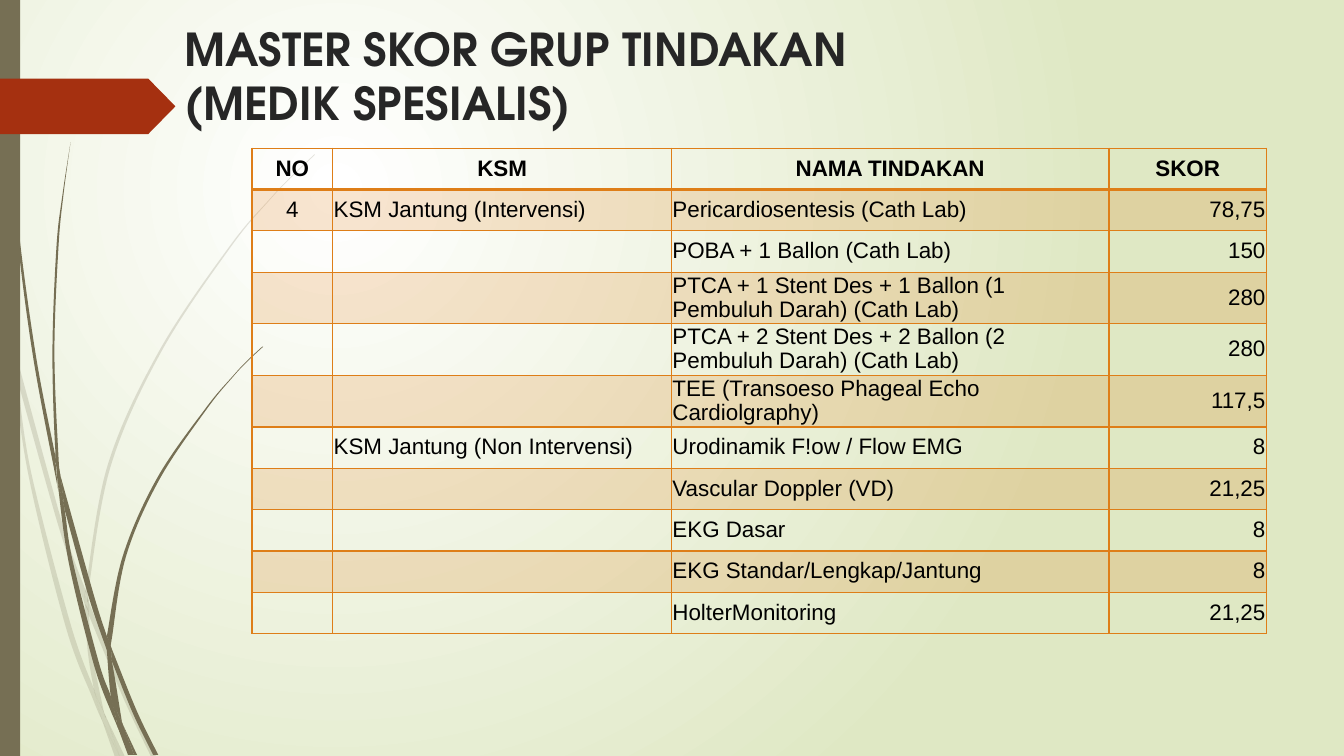
from lxml.etree import SubElement
from pptx import Presentation
from pptx.dml.color import RGBColor
from pptx.enum.shapes import MSO_SHAPE
from pptx.enum.text import MSO_ANCHOR, PP_ALIGN
from pptx.oxml import parse_xml
from pptx.oxml.ns import nsdecls, qn
from pptx.util import Inches, Pt

WIDTH, HEIGHT = 13.33, 7.5
COLORS = {
    "white": "FFFFFF", "meadow": "DFE8C4", "olive": "766F54", "rust": "A53010",
    "orange": "DE7E18", "title": "262626", "text": "000000",
}
TITLE = "MASTER SKOR GRUP TINDAKAN\v(MEDIK SPESIALIS)"
TITLE_FONT = {"name": "TeX Gyre Adventor", "size": Pt(32.4), "bold": True}
COLUMNS = [0.8, 3.36, 4.34, 1.56]
ROW_HEIGHT = 0.41
ALIGNMENTS = [PP_ALIGN.CENTER, PP_ALIGN.LEFT, PP_ALIGN.LEFT, PP_ALIGN.RIGHT]
ROWS = [
    ("NO", "KSM", "NAMA TINDAKAN", "SKOR"),
    ("4", "KSM Jantung (Intervensi)", "Pericardiosentesis (Cath Lab)", "78,75"),
    ("", "", "POBA + 1 Ballon (Cath Lab)", "150"),
    ("", "", "PTCA + 1 Stent Des + 1 Ballon (1 Pembuluh Darah) (Cath Lab)", "280"),
    ("", "", "PTCA + 2 Stent Des + 2 Ballon (2 Pembuluh Darah) (Cath Lab)", "280"),
    ("", "", "TEE (Transoeso Phageal Echo Cardiolgraphy)", "117,5"),
    ("", "KSM Jantung (Non Intervensi)", "Urodinamik F!ow / Flow EMG", "8"),
    ("", "", "Vascular Doppler (VD)", "21,25"),
    ("", "", "EKG Dasar", "8"),
    ("", "", "EKG Standar/Lengkap/Jantung", "8"),
    ("", "", "HolterMonitoring", "21,25"),
]
GRASS_UNIT = 0.01
PALE_GRASS = [
    ([(11, 350), (9, 322), (0, 282)], [(0, 299), (10, 344), (11, 350)]),
    ([(14, 345), (62, 520), (85, 586)], [(84, 599), (58, 522), (17, 376)]),
    ([(88, 596), (92, 607), (127, 692), (155, 751)], [(150, 751), (123, 694), (88, 610)]),
    ([(105, 711), (124, 751)], [(119, 751), (105, 711)]),
    ([(11, 350), (17, 376), (31, 469), (70, 619), (93, 683)],
     [(99, 707), (101, 714), (92, 693), (65, 621), (28, 470), (11, 350)]),
    ([(84, 599), (88, 608), (91, 646), (103, 706), (105, 711)],
     [(96, 692), (93, 683), (87, 646), (84, 599)]),
    ([(85, 586), (85, 584), (107, 461), (158, 348), (228, 244), (268, 197), (289, 175), (312, 153)],
     [(312, 154), (290, 175), (268, 198), (229, 245), (160, 349), (110, 462), (88, 584), (88, 596)]),
    ([(101, 714), (119, 751)], [(114, 751), (101, 714)]),
    ([(85, 586), (88, 596), (88, 610)], [(88, 608), (84, 599)]),
    ([(93, 683), (96, 692), (105, 711), (119, 751)], [(101, 714), (99, 707), (93, 683)]),
]
DARK_GRASS = [
    ([(3, 0), (4, 48), (7, 110), (17, 233), (33, 355), (56, 477), (57, 481)],
     [(55, 457), (55, 453), (36, 355), (19, 232), (8, 109), (5, 48), (4, 0)]),
    ([(60, 472), (93, 590), (106, 631)], [(106, 645), (88, 592), (64, 505)]),
    ([(110, 641), (113, 649), (136, 706), (157, 749)], [(152, 749), (132, 708), (111, 656)]),
    ([(57, 477), (64, 505), (72, 556), (98, 657), (110, 691), (116, 717), (117, 722)],
     [(111, 708), (93, 659), (68, 557), (57, 477)]),
    ([(60, 472), (55, 449), (52, 349), (56, 245), (62, 193), (70, 141)],
     [(70, 141), (63, 193), (58, 245), (54, 349), (58, 453), (60, 472)]),
    ([(122, 719), (136, 749)], [(133, 749), (122, 719)]),
    ([(55, 449), (60, 472), (64, 505)], [(57, 477), (55, 453)]),
    ([(106, 631), (122, 551), (156, 474), (204, 405), (231, 373), (245, 358), (260, 344)],
     [(261, 344), (245, 359), (231, 374), (205, 406), (158, 476), (125, 552), (111, 633), (110, 641)]),
    ([(117, 722), (131, 749)], [(127, 749), (117, 722)]),
    ([(106, 645), (111, 656), (121, 716), (122, 719)], [(116, 706), (110, 691), (106, 645)]),
    ([(106, 631), (110, 641), (111, 656)], [(109, 651), (106, 645)]),
    ([(110, 691), (116, 706), (122, 719), (133, 749)], [(130, 749), (117, 722), (116, 717)]),
]


def apply(target, values):
    """Set each attribute named in values on the target."""
    for name, value in values.items():
        setattr(target, name, value)


def paint(fill, color, opacity=100):
    """Fill with a named colour at an opacity in percent."""
    fill.solid()
    fill.fore_color.rgb = RGBColor.from_string(COLORS[color])
    if opacity < 100:
        tint = fill._xPr.find(qn("a:solidFill"))[0]
        SubElement(tint, qn("a:alpha"), val=str(opacity * 1000))


def finish(shape, color, opacity=100):
    """Give a shape a plain fill with no line or shadow."""
    shape.shadow.inherit = False
    shape.line.fill.background()
    paint(shape.fill, color, opacity)


def bend(shape, edge_count):
    """Turn the straight sides of a blade into smooth curves."""
    knots = [(int(point.get("x")), int(point.get("y")))
             for point in shape._element.iter(qn("a:pt"))]
    lines = list(shape._element.iter(qn("a:lnTo")))
    for first, last in ((0, edge_count - 1), (edge_count, len(knots) - 1)):
        for index in range(first, last):
            before, after = max(index - 1, first), min(index + 2, last)
            a, b, c, d = (knots[i] for i in (before, index, index + 1, after))
            leave = [q + (r - p) / 6 for p, q, r in zip(a, b, c)]
            arrive = [r - (s - q) / 6 for q, r, s in zip(b, c, d)]
            line = lines[index]
            line.tag = qn("a:cubicBezTo")
            for place, (x, y) in enumerate((leave, arrive)):
                point = parse_xml(f'<a:pt {nsdecls("a")} x="{round(x)}" y="{round(y)}"/>')
                line.insert(place, point)


def add_background(page):
    """Paint a round glow centred in the upper left quarter."""
    fill = page.background.fill
    fill.gradient()
    for stop, color in zip(fill.gradient_stops, ("white", "meadow")):
        stop.color.rgb = RGBColor.from_string(COLORS[color])
    gradient = fill._fill._gradFill
    gradient.remove(gradient.find(qn("a:lin")))
    glow = parse_xml(
        f'<a:path {nsdecls("a")} path="circle">'
        '<a:fillToRect l="50000" t="50000" r="100000" b="100000"/></a:path>')
    gradient.find(qn("a:gsLst")).addnext(glow)


def add_grass(page, left, top, blades, opacity):
    """Draw a group of curved blades from a corner point."""
    group = page.shapes.add_group_shape()
    for edge, back in blades:
        points = [(Inches(left + x * GRASS_UNIT), Inches(top + y * GRASS_UNIT))
                  for x, y in edge + back]
        builder = group.shapes.build_freeform(*points[0])
        builder.add_line_segments(points[1:], close=True)
        blade = builder.convert_to_shape()
        bend(blade, len(edge))
        finish(blade, "olive", opacity)


def add_block(page, kind, color, left, top, width, height):
    """Place a plain preset shape in its box."""
    block = page.shapes.add_shape(kind, *map(Inches, (left, top, width, height)))
    finish(block, color)
    return block


def add_title(page, left, top, width, height):
    """Write the two-line heading in its box."""
    frame = page.shapes.add_textbox(*map(Inches, (left, top, width, height))).text_frame
    apply(frame, {"word_wrap": True, "vertical_anchor": MSO_ANCHOR.TOP})
    para = frame.paragraphs[0]
    para.text = TITLE
    for span in para.runs:
        apply(span.font, TITLE_FONT)
        span.font.color.rgb = RGBColor.from_string(COLORS["title"])


def add_borders(cell, bottom):
    """Outline a cell, with its bottom line in the given points."""
    sides = {"lnL": 1, "lnR": 1, "lnT": 1, "lnB": bottom}
    for index, (side, points) in enumerate(sides.items()):
        line = parse_xml(
            f'<a:{side} {nsdecls("a")} w="{Pt(points)}"><a:solidFill>'
            f'<a:srgbClr val="{COLORS["orange"]}"/></a:solidFill></a:{side}>')
        cell._tc.get_or_add_tcPr().insert(index, line)


def fill_cell(cell, text, alignment, row):
    """Write and format one table cell according to its row."""
    edge = Inches(0.01)
    apply(cell, {"vertical_anchor": MSO_ANCHOR.MIDDLE, "margin_left": edge,
                 "margin_right": edge, "margin_top": 0, "margin_bottom": 0})
    para = cell.text_frame.paragraphs[0]
    apply(para, {"text": text, "alignment": alignment, "line_spacing": 0.96})
    for span in para.runs:
        apply(span.font, {"name": "Arial", "size": Pt(16), "bold": row == 0})
        span.font.color.rgb = RGBColor.from_string(COLORS["text"])
    if row % 2:
        paint(cell.fill, "orange", 20)
    else:
        cell.fill.background()
    add_borders(cell, bottom=1 if row else 2)


def add_scores(page, left, top):
    """Build the score table from its upper left corner."""
    size = (sum(COLUMNS), ROW_HEIGHT * len(ROWS))
    table = page.shapes.add_table(
        len(ROWS), len(COLUMNS), *map(Inches, (left, top, *size))).table
    apply(table, {"first_row": False, "horz_banding": False})
    for column, width in zip(table.columns, COLUMNS):
        column.width = Inches(width)
    for row, texts in enumerate(ROWS):
        table.rows[row].height = Inches(ROW_HEIGHT)
        for column, text in enumerate(texts):
            alignment = ALIGNMENTS[column] if row else PP_ALIGN.CENTER
            fill_cell(table.cell(row, column), text, alignment, row)


def main():
    """Build the slide and save the deck."""
    deck = Presentation()
    apply(deck, {"slide_width": Inches(WIDTH), "slide_height": Inches(HEIGHT)})
    page = deck.slides.add_slide(deck.slide_layouts[6])
    add_background(page)
    add_grass(page, 0, 0, PALE_GRASS, 20)
    add_grass(page, 0, 0, DARK_GRASS, 100)
    add_block(page, MSO_SHAPE.RECTANGLE, "olive", 0, 0, 0.2, HEIGHT)
    arrow = add_block(page, MSO_SHAPE.PENTAGON, "rust", 0, 0.78, 1.74, 0.55)
    arrow.adjustments[0] = 0.49
    add_title(page, 1.73, 0.16, 11.6, 0.74)
    add_scores(page, 2.5, 1.47)
    deck.save("out.pptx")


if __name__ == "__main__":
    main()
